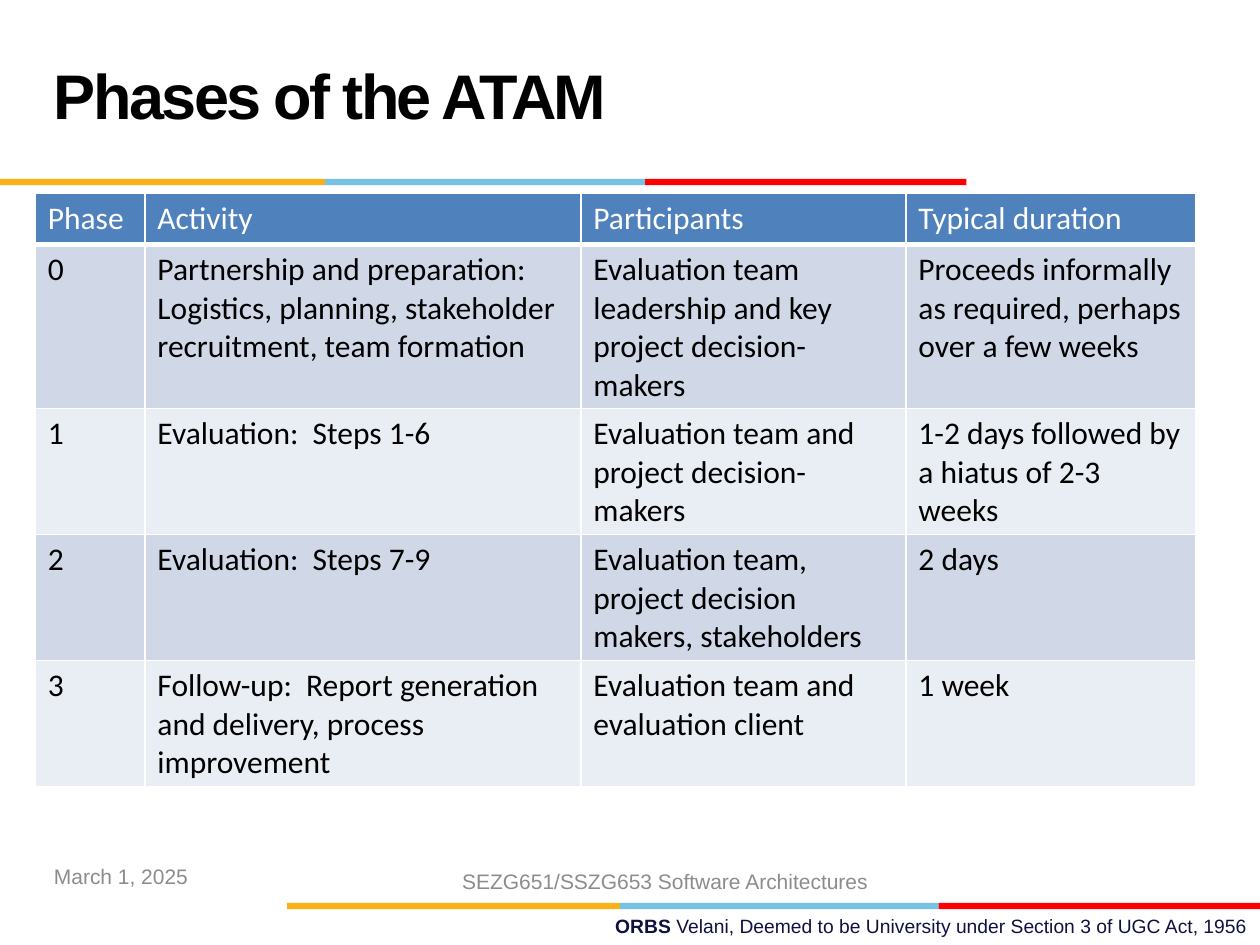
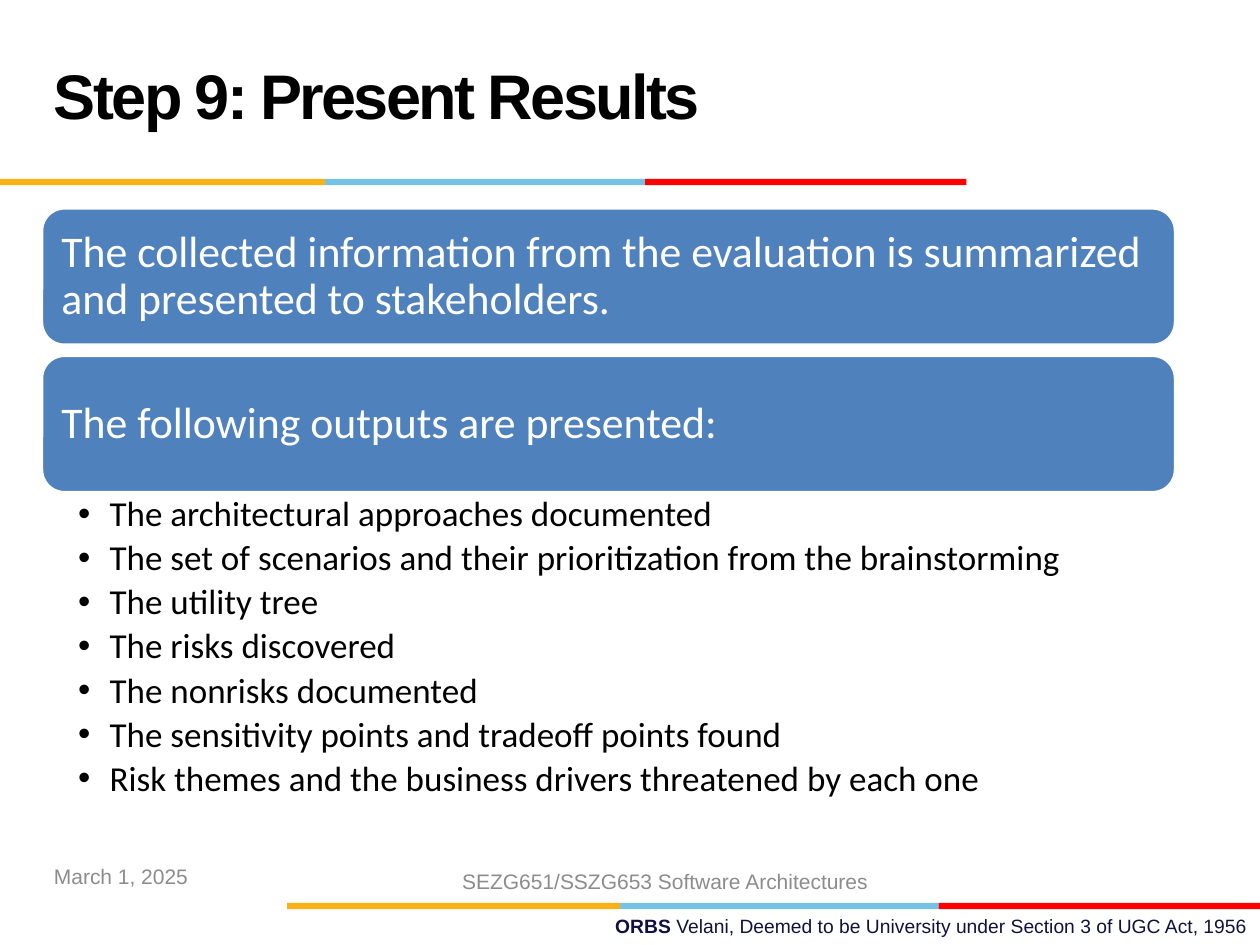
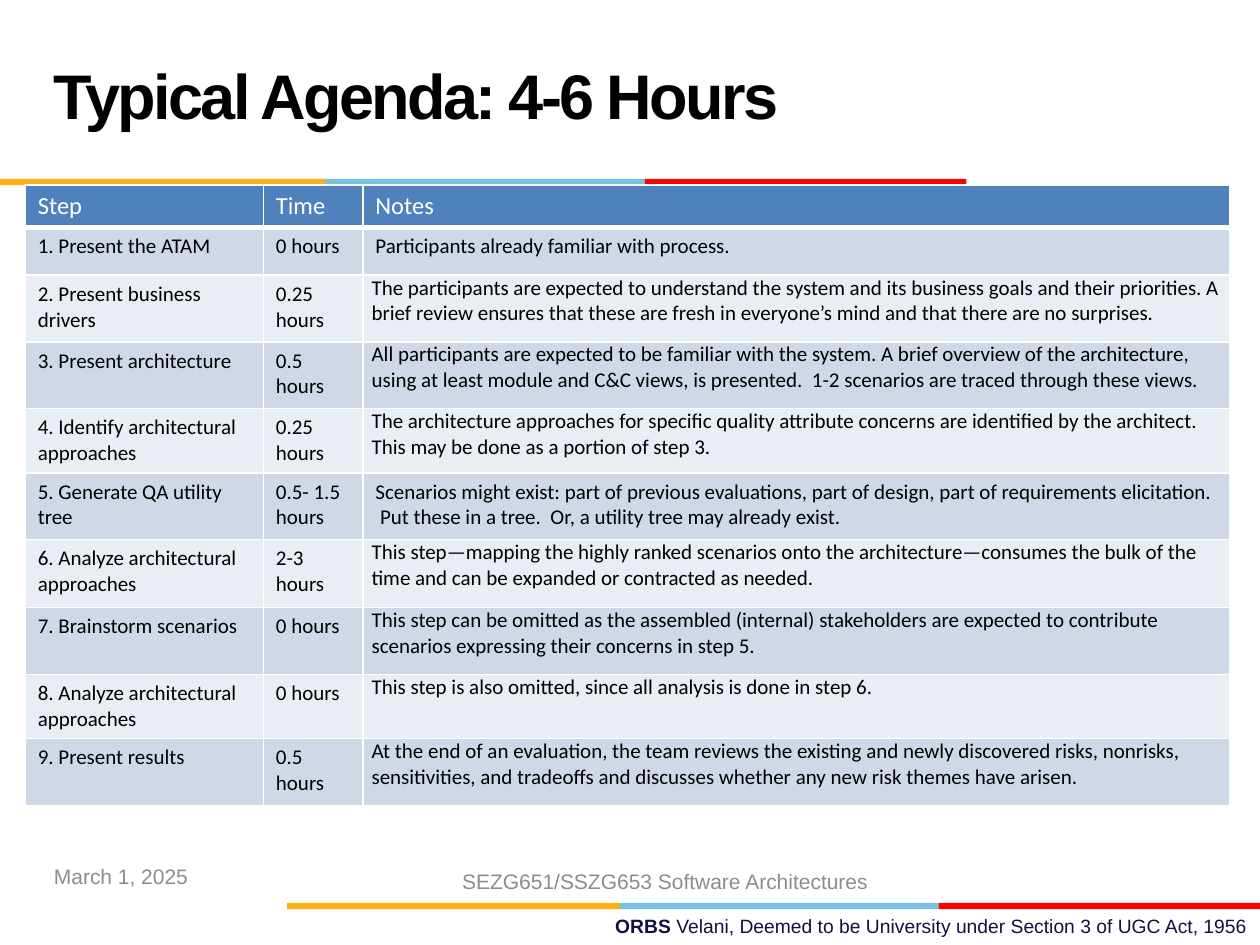
from lxml import etree
from pptx import Presentation
from pptx.dml.color import RGBColor
from pptx.enum.shapes import MSO_SHAPE
from pptx.enum.text import MSO_ANCHOR, PP_ALIGN
from pptx.oxml.ns import qn
from pptx.util import Inches, Pt

RECTANGLE, ROUNDED = MSO_SHAPE.RECTANGLE, MSO_SHAPE.ROUNDED_RECTANGLE
TOP, MIDDLE = MSO_ANCHOR.TOP, MSO_ANCHOR.MIDDLE
LEFT, CENTER, RIGHT = PP_ALIGN.LEFT, PP_ALIGN.CENTER, PP_ALIGN.RIGHT

COLUMNS, ROWS = 100, 75
BLACK, WHITE, GREY, NAVY = "000000", "FFFFFF", "8C8C8C", "101141"
BLUE, ROW_DARK, ROW_LIGHT = "4F81BD", "D0D8E8", "E9EDF4"
BAND_COLORS = ("FCB017", "76C2E5", "FF0000")


def rgb(value):
    return RGBColor.from_string(value)


class Deck:
    heading_font, body_font = "Arial", "Calibri"

    def __init__(self):
        self.prs = Presentation()
        self.prs.slide_width, self.prs.slide_height = Inches(10), Inches(7.5)
        self.slide = None

    def x(self, columns):
        return round(self.prs.slide_width * columns / COLUMNS)

    def y(self, rows):
        return round(self.prs.slide_height * rows / ROWS)

    def box(self, left, top, width, height):
        return self.x(left), self.y(top), self.x(width), self.y(height)

    def insets(self, target, left, top, right, bottom):
        target.margin_left, target.margin_right = self.x(left), self.x(right)
        target.margin_top, target.margin_bottom = self.y(top), self.y(bottom)

    def style(self, paragraph, size, color, font=None, align=LEFT, bold=None):
        paragraph.alignment = align
        paragraph.font.size = Pt(size)
        paragraph.font.name = font or self.body_font
        paragraph.font.color.rgb = rgb(color)
        paragraph.font.bold = bold

    def text(self, at, words, size, color, align=LEFT, anchor=MIDDLE, bold=None):
        frame = self.slide.shapes.add_textbox(*self.box(*at)).text_frame
        frame.word_wrap = True
        frame.vertical_anchor = anchor
        paragraph = frame.paragraphs[0]
        for word in words:
            paragraph.add_run().text = word
        self.style(paragraph, size, color, self.heading_font, align, bold)
        return paragraph

    def shape(self, kind, at, color):
        shape = self.slide.shapes.add_shape(kind, *self.box(*at))
        shape.shadow.inherit = False
        shape.fill.solid()
        shape.fill.fore_color.rgb = rgb(color)
        shape.line.fill.background()
        return shape

    def band(self, top, edges):
        for start, end, color in zip(edges, edges[1:], BAND_COLORS):
            self.shape(RECTANGLE, (start, top, end - start, 0.5), color)

    def new_slide(self, title):
        self.slide = self.prs.slides.add_slide(self.prs.slide_layouts[6])
        credit = self.text((35.8, 72.1, 64.2, 2.9),
                           ("ORBS ", "Velani, Deemed to be University under Section 3 of UGC Act, 1956"),
                           11, NAVY, RIGHT, TOP)
        credit.runs[0].font.bold = True
        self.band(71.65, (22.8, 49.2, 74.5, 100))
        self.band(14.2, (0, 25.8, 51.2, 76.7))
        heading = self.text((3.3, 1.7, 69.2, 12.5), (title,), 36, BLACK, bold=True)
        heading.line_spacing = Pt(36)
        heading.runs[0]._r.get_or_add_rPr().set("spc", "-150")
        self.text((3.3, 67.5, 23.3, 4), ("March 1, 2025",), 12, GREY)
        self.text((34.8, 67.9, 36, 4), ("SEZG651/SSZG653 Software Architectures",), 12, GREY, CENTER)

    def card(self, at, words):
        card = self.shape(ROUNDED, at, BLUE)
        card.line.color.rgb = rgb(WHITE)
        card.line.width = Pt(2)
        frame = card.text_frame
        frame.word_wrap = True
        frame.vertical_anchor = MIDDLE
        self.insets(frame, 1.05, 1, 1.05, 1)
        frame.text = words
        self.style(frame.paragraphs[0], 25, WHITE)
        frame.paragraphs[0].line_spacing = 0.9

    def bullets(self, at, items):
        frame = self.slide.shapes.add_textbox(*self.box(*at)).text_frame
        frame.word_wrap = True
        self.insets(frame, 2.9, 0.3, 1.9, 0.3)
        frame.text = "\n".join(items)
        for paragraph in frame.paragraphs:
            self.style(paragraph, 20, BLACK)
            paragraph.line_spacing = 0.9
            paragraph.space_after = Pt(3.6)
            properties = paragraph._p.get_or_add_pPr()
            properties.set("marL", str(self.x(2.5)))
            properties.set("indent", str(-self.x(2.5)))
            etree.SubElement(properties, qn("a:buFont")).set("typeface", "Arial")
            etree.SubElement(properties, qn("a:buChar")).set("char", "•")

    def borders(self, cell, bottom):
        properties = cell._tc.get_or_add_tcPr()
        for side, width in (("L", 1), ("R", 1), ("T", 1), ("B", bottom)):
            line = etree.SubElement(properties, qn(f"a:ln{side}"), w=str(Pt(width)))
            fill = etree.SubElement(line, qn("a:solidFill"))
            etree.SubElement(fill, qn("a:srgbClr"), val=WHITE)

    def table(self, left, top, widths, heights, records, header_size, body_size, tight_notes=()):
        at = self.box(left, top, sum(widths), sum(heights))
        table = self.slide.shapes.add_table(len(records), len(widths), *at).table
        table.horz_banding = False
        for column, width in zip(table.columns, widths):
            column.width = self.x(width)
        for r, (record, height) in enumerate(zip(records, heights)):
            table.rows[r].height = self.y(height)
            header = r == 0
            color = BLUE if header else (ROW_LIGHT, ROW_DARK)[r % 2]
            for c, words in enumerate(record):
                cell = table.cell(r, c)
                self.borders(cell, 3 if header else 1)
                cell.fill.solid()
                cell.fill.fore_color.rgb = rgb(color)
                cell.text = words
                paragraph = cell.text_frame.paragraphs[0]
                self.style(paragraph, header_size if header else body_size, WHITE if header else BLACK)
                if r in tight_notes and c == len(widths) - 1:
                    self.insets(cell, 0.7, 0, 0.7, 0)
                    paragraph.space_after = Pt(4)


PHASES = (
    ("Phase", "Activity", "Participants", "Typical duration"),
    ("0", "Partnership and preparation:  Logistics, planning, stakeholder recruitment, team formation",
     "Evaluation team leadership and key project decision-makers",
     "Proceeds informally as required, perhaps over a few weeks"),
    ("1", "Evaluation:  Steps 1-6", "Evaluation team and project decision-makers",
     "1-2 days followed by a hiatus of 2-3 weeks"),
    ("2", "Evaluation:  Steps 7-9", "Evaluation team, project decision makers, stakeholders", "2 days"),
    ("3", "Follow-up:  Report generation and delivery, process improvement",
     "Evaluation team and evaluation client", "1 week"),
)

STATEMENTS = (
    "The collected information from the evaluation is summarized and presented to stakeholders.",
    "The following outputs are presented:",
)

OUTPUTS = (
    "The architectural approaches documented",
    "The set of scenarios and their prioritization from the brainstorming",
    "The utility tree",
    "The risks discovered",
    "The nonrisks documented",
    "The sensitivity points and tradeoff points found",
    "Risk themes and the business drivers threatened by each one",
)

AGENDA = (
    ("Step", "Time", "Notes"),
    ("1. Present the ATAM", "0 hours", "Participants already familiar with process."),
    ("2. Present business drivers", "0.25 hours",
     "The participants are expected to understand the system and its business goals and their priorities. "
     "A brief review ensures that these are fresh in everyone’s mind and that there are no surprises."),
    ("3. Present architecture", "0.5 hours",
     "All participants are expected to be familiar with the system. A brief overview of the architecture, "
     "using at least module and C&C views, is presented.  1-2 scenarios are traced through these views."),
    ("4. Identify architectural approaches", "0.25 hours",
     "The architecture approaches for specific quality attribute concerns are identified by the architect. "
     "This may be done as a portion of step 3."),
    ("5. Generate QA utility tree", "0.5- 1.5 hours",
     "Scenarios might exist: part of previous evaluations, part of design, part of requirements elicitation.  "
     "Put these in a tree.  Or, a utility tree may already exist."),
    ("6. Analyze architectural approaches", "2-3 hours",
     "This step—mapping the highly ranked scenarios onto the architecture—consumes the bulk of the time "
     "and can be expanded or contracted as needed."),
    ("7. Brainstorm scenarios", "0 hours",
     "This step can be omitted as the assembled (internal) stakeholders are expected to contribute "
     "scenarios expressing their concerns in step 5."),
    ("8. Analyze architectural approaches", "0 hours",
     "This step is also omitted, since all analysis is done in step 6."),
    ("9. Present results", "0.5 hours",
     "At the end of an evaluation, the team reviews the existing and newly discovered risks, nonrisks, "
     "sensitivities, and tradeoffs and discusses whether any new risk themes have arisen."),
)


def main():
    deck = Deck()

    deck.new_slide("Phases of the ATAM")
    deck.table(2.8, 15.3, (8.7, 34.6, 25.8, 23), (4.1, 13, 10, 10, 10), PHASES, 18, 18)

    deck.new_slide("Step 9: Present Results")
    for order, statement in enumerate(STATEMENTS):
        deck.card((3.3, 16.5 + 11.7 * order, 90, 10.9), statement)
    deck.bullets((3.3, 39.1, 90, 26.6), OUTPUTS)

    deck.new_slide("Typical Agenda: 4-6 Hours")
    deck.table(2, 14.7, (18.9, 7.9, 68.8), (3.3, 3.8, 5.3, 5.3, 5.1, 5.3, 5.4, 5.3, 5.1, 5.3),
               AGENDA, 14, 12, tight_notes=(2, 3, 4, 6, 7, 8, 9))

    deck.prs.save("out.pptx")


if __name__ == "__main__":
    main()
